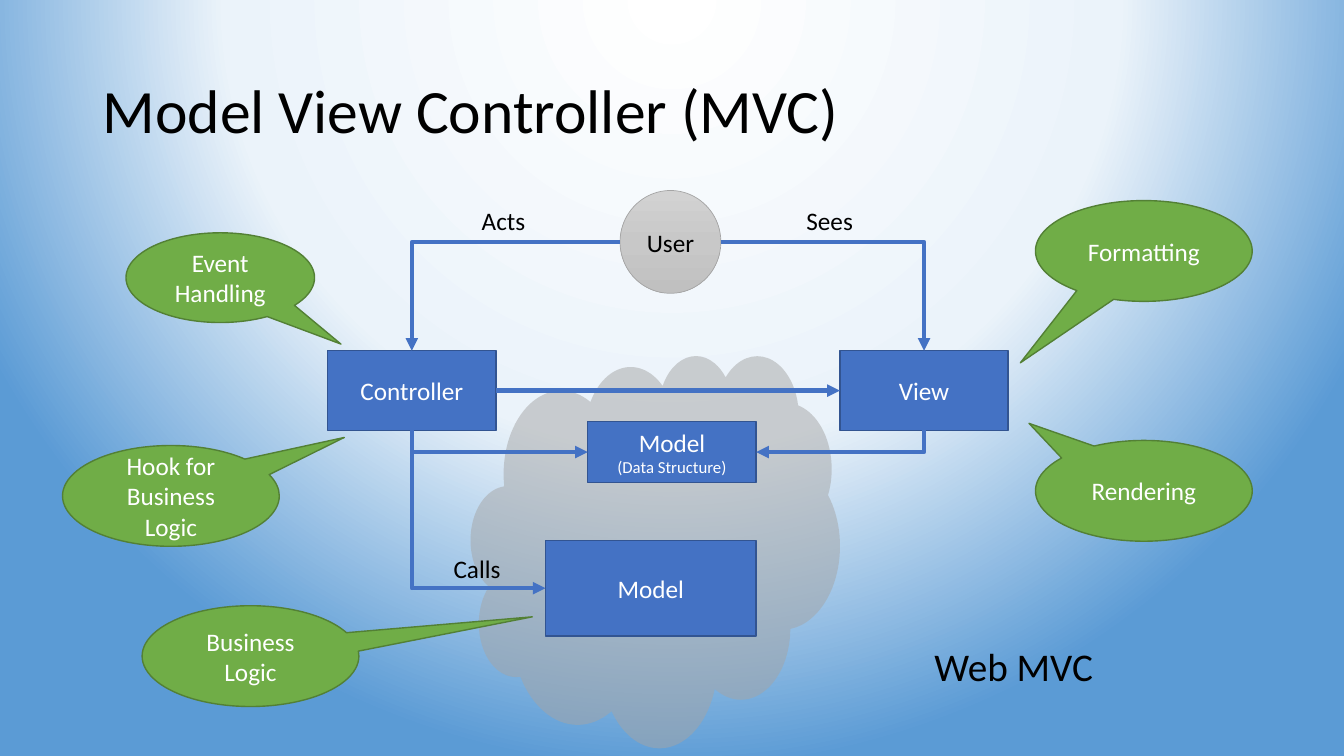
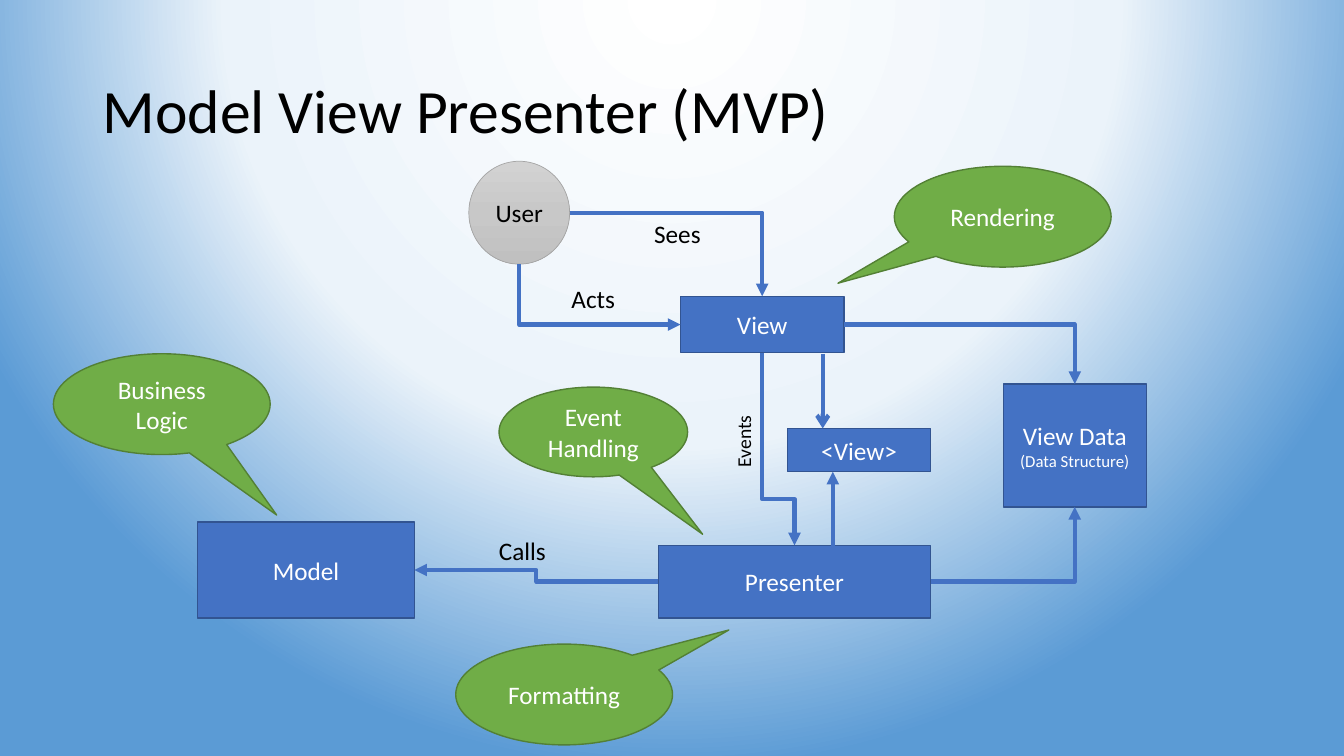
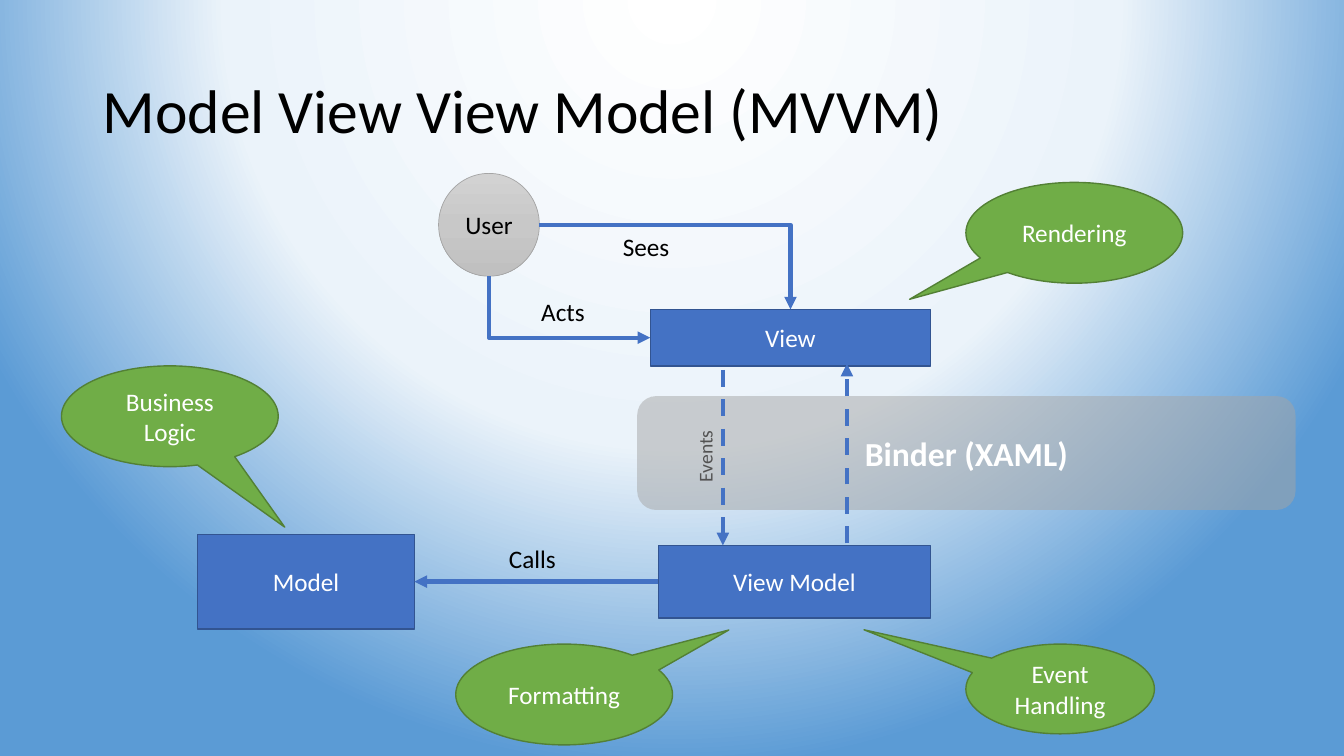
from dataclasses import dataclass
from enum import IntEnum

import lxml.etree
import pptx
import pptx.dml.color
import pptx.enum.dml
import pptx.enum.shapes
import pptx.enum.text
import pptx.oxml.ns
import pptx.shapes.autoshape
import pptx.shapes.connector
import pptx.slide
import pptx.text.text
import pptx.util

Inches = pptx.util.Inches
Pt = pptx.util.Pt
qn = pptx.oxml.ns.qn
Kind = pptx.enum.shapes.MSO_SHAPE
Slide = pptx.slide.Slide
Shape = pptx.shapes.autoshape.Shape
Connector = pptx.shapes.connector.Connector

FONT = "Calibri"
BLACK, WHITE = "000000", "FFFFFF"
BLUE, BLUE_EDGE = "4472C4", "325491"
GREEN, GREEN_EDGE = "70AD47", "538035"
GREY = "A5A5A5"
BACKGROUND_STOPS = [(0, WHITE), (58, "EBF3FA"), (100, "5B9BD5")]
USER_STOPS = [(0, "D2D2D2"), (50, "C8C8C8"), (100, "C0C0C0")]


class Side(IntEnum):
    TOP = 0
    LEFT = 1
    BOTTOM = 2
    RIGHT = 3


@dataclass
class Node:
    key: str
    label: str
    left: float
    top: float
    width: float
    height: float
    detail: str = ""
    round: bool = False

    def side_point(self, side: Side) -> tuple[float, float]:
        across = {Side.LEFT: 0, Side.RIGHT: 1}.get(side, 0.5)
        down = {Side.TOP: 0, Side.BOTTOM: 1}.get(side, 0.5)
        return self.left + across * self.width, self.top + down * self.height


@dataclass
class Link:
    start: str
    start_side: Side
    end: str
    end_side: Side
    turn: float | None = None


@dataclass
class Arrow:
    x: float
    start_y: float
    end_y: float
    head: str = "triangle"
    dashed: bool = False


@dataclass
class Callout:
    text: str
    left: float
    top: float
    tip: tuple[float, float]
    width: float = 2.15
    height: float = 1


@dataclass
class Caption:
    text: str
    left: float
    top: float
    width: float = 0.73
    height: float = 0.4
    size: float = 18
    rotation: float = 0


@dataclass
class Panel:
    kind: Kind
    left: float
    top: float
    width: float
    height: float
    text: str = ""


@dataclass
class Diagram:
    title: str
    nodes: list[Node]
    links: list[Link]
    callouts: list[Callout]
    captions: list[Caption]
    arrows: list[Arrow]
    backdrop: Panel | None = None
    overlay: Panel | None = None


def user(left: float, top: float) -> Node:
    return Node("user", "User", left, top, 1, 1.02, round=True)


def event_handling(left: float, top: float, tip: tuple[float, float]) -> Callout:
    return Callout("Event Handling", left, top, tip, 1.87, 0.89)


def events(left: float, top: float) -> Caption:
    return Caption("Events", left, top, 1.05, 0.34, 14, 270)


SEES_AND_ACTS = [
    Link("user", Side.RIGHT, "view", Side.TOP),
    Link("user", Side.BOTTOM, "view", Side.LEFT),
]

DIAGRAMS = [
    Diagram(
        "Model View Controller (MVC)",
        nodes=[
            Node("controller", "Controller", 3.25, 3.48, 1.67, 0.79),
            Node("data", "Model", 5.83, 4.18, 1.67, 0.61, "(Data Structure)"),
            Node("view", "View", 8.33, 3.48, 1.67, 0.79),
            user(6.15, 1.89),
            Node("model", "Model", 5.41, 5.36, 2.09, 0.95),
        ],
        links=[
            Link("user", Side.RIGHT, "view", Side.TOP),
            Link("user", Side.LEFT, "controller", Side.TOP),
            Link("controller", Side.RIGHT, "view", Side.LEFT),
            Link("controller", Side.BOTTOM, "data", Side.LEFT),
            Link("view", Side.BOTTOM, "data", Side.RIGHT),
            Link("controller", Side.BOTTOM, "model", Side.LEFT),
        ],
        callouts=[
            event_handling(1.25, 2.31, (0.64, 0.74)),
            Callout("Business Logic", 1.41, 6.01, (1.3, -0.39)),
            Callout("Formatting", 10.27, 1.99, (-0.57, 1.11)),
            Callout("Rendering", 10.27, 4.37, (-0.53, -0.67)),
            Callout("Hook for Business Logic", 0.62, 4.42, (0.8, -0.58)),
        ],
        captions=[
            Caption("Sees", 7.9, 1.99),
            Caption("Acts", 4.68, 1.99),
            Caption("Calls", 4.4, 5.44, 0.94),
            Caption("Web MVC", 9.17, 6.32, 2.24, 0.57, 28),
        ],
        arrows=[],
        backdrop=Panel(Kind.CLOUD, 4.67, 3.52, 3.66, 3.89),
    ),
    Diagram(
        "Model View Presenter (MVP)",
        nodes=[
            Node("presenter", "Presenter", 6.53, 5.41, 2.7, 0.72),
            Node("view", "View", 6.75, 2.94, 1.62, 0.56),
            user(4.65, 1.6),
            Node("model", "Model", 1.96, 5.18, 2.15, 0.95),
            Node("interface", "<View>", 7.81, 4.25, 1.42, 0.43),
            Node("data", "View Data", 9.95, 3.81, 1.42, 1.22, "(Data Structure)"),
        ],
        links=SEES_AND_ACTS + [
            Link("view", Side.RIGHT, "data", Side.TOP),
            Link("presenter", Side.RIGHT, "data", Side.BOTTOM),
            Link("view", Side.BOTTOM, "presenter", Side.TOP, 0.76),
            Link("presenter", Side.LEFT, "model", Side.RIGHT, 0.5),
        ],
        callouts=[
            event_handling(4.95, 3.84, (0.58, 1.14)),
            Callout("Business Logic", 0.53, 3.51, (0.53, 1.1)),
            Callout("Formatting", 4.52, 6.39, (0.76, -0.64)),
            Callout("Rendering", 8.87, 1.65, (-0.76, 0.66)),
        ],
        captions=[
            Caption("Sees", 6.39, 2.12),
            Caption("Acts", 5.57, 2.76),
            Caption("Calls", 4.85, 5.26, 0.94),
            events(6.85, 4.04),
        ],
        arrows=[Arrow(8.26, 5.42, 4.68), Arrow(8.16, 3.51, 4.25, "arrow")],
    ),
    Diagram(
        "Model View View Model (MVVM)",
        nodes=[
            Node("view model", "View Model", 6.53, 5.41, 2.7, 0.72),
            Node("view", "View", 6.45, 3.07, 2.78, 0.56),
            user(4.35, 1.72),
            Node("model", "Model", 1.96, 5.3, 2.15, 0.94),
        ],
        links=SEES_AND_ACTS + [Link("view model", Side.LEFT, "model", Side.RIGHT)],
        callouts=[
            event_handling(9.58, 6.39, (-1.04, -0.66)),
            Callout("Business Logic", 0.61, 3.63, (0.53, 1.1)),
            Callout("Formatting", 4.52, 6.39, (0.76, -0.64)),
            Callout("Rendering", 9.58, 1.81, (-0.76, 0.66)),
        ],
        captions=[
            Caption("Sees", 6.08, 2.25),
            Caption("Acts", 5.27, 2.89),
            Caption("Calls", 4.95, 5.34, 0.94),
            events(6.47, 4.19),
        ],
        arrows=[Arrow(8.4, 5.39, 3.61, dashed=True), Arrow(7.17, 3.67, 5.41, dashed=True)],
        overlay=Panel(Kind.ROUNDED_RECTANGLE, 6.32, 3.93, 6.53, 1.13, "Binder (XAML)"),
    ),
]


def color(value: str) -> pptx.dml.color.RGBColor:
    return pptx.dml.color.RGBColor.from_string(value)


def child(parent: lxml.etree._Element, tag: str, **attributes: object) -> lxml.etree._Element:
    texts = {name: str(value) for name, value in attributes.items()}
    return lxml.etree.SubElement(parent, qn(tag), texts)


def reset_gradient(owner: lxml.etree._Element, stops: list[tuple[int, str]]) -> lxml.etree._Element:
    gradient = owner.find(".//" + qn("a:gradFill"))
    for part in list(gradient):
        gradient.remove(part)
    stop_list = child(gradient, "a:gsLst")
    for position, value in stops:
        child(child(stop_list, "a:gs", pos=position * 1000), "a:srgbClr", val=value)
    return gradient


def paint_background(master: pptx.slide.SlideMaster) -> None:
    master.background.fill.gradient()
    gradient = reset_gradient(master.element, BACKGROUND_STOPS)
    circle = child(gradient, "a:path", path="circle")
    child(circle, "a:fillToRect", l=50000, t=-80000, r=50000, b=180000)


def write(paragraph: pptx.text.text._Paragraph, text: str, size: float, value: str, bold: bool = False) -> None:
    run = paragraph.add_run()
    run.text = text
    run.font.name = FONT
    run.font.size = Pt(size)
    run.font.bold = bold
    run.font.color.rgb = color(value)


def add_figure(slide: Slide, kind: Kind, item: Node | Callout | Panel, fill: str,
               edge: str = "", edge_width: float = 1) -> Shape:
    shape = slide.shapes.add_shape(
        kind, Inches(item.left), Inches(item.top), Inches(item.width), Inches(item.height))
    shape.shadow.inherit = False
    shape.fill.solid()
    shape.fill.fore_color.rgb = color(fill)
    if edge:
        shape.line.color.rgb = color(edge)
        shape.line.width = Pt(edge_width)
    else:
        shape.line.fill.background()
    frame = shape.text_frame
    frame.word_wrap = True
    frame.vertical_anchor = pptx.enum.text.MSO_ANCHOR.MIDDLE
    frame.paragraphs[0].alignment = pptx.enum.text.PP_ALIGN.CENTER
    return shape


def draw_node(slide: Slide, node: Node) -> Shape:
    if node.round:
        shape = add_figure(slide, Kind.OVAL, node, GREY, GREY, 0.5)
        shape.fill.gradient()
        child(reset_gradient(shape.element, USER_STOPS), "a:lin", ang=5400000, scaled=0)
    else:
        shape = add_figure(slide, Kind.RECTANGLE, node, BLUE, BLUE_EDGE)
    frame = shape.text_frame
    write(frame.paragraphs[0], node.label, 18, BLACK if node.round else WHITE)
    if node.detail:
        paragraph = frame.add_paragraph()
        paragraph.alignment = pptx.enum.text.PP_ALIGN.CENTER
        write(paragraph, node.detail, 12, WHITE)
    return shape


def draw_callout(slide: Slide, callout: Callout) -> None:
    shape = add_figure(slide, Kind.OVAL_CALLOUT, callout, GREEN, GREEN_EDGE)
    shape.adjustments[0], shape.adjustments[1] = callout.tip
    write(shape.text_frame.paragraphs[0], callout.text, 18, WHITE)


def draw_panel(slide: Slide, panel: Panel) -> None:
    shape = add_figure(slide, panel.kind, panel, GREY)
    child(shape.element.find(".//" + qn("a:srgbClr")), "a:alpha", val=50000)
    if panel.text:
        write(shape.text_frame.paragraphs[0], panel.text, 24, WHITE, True)


def draw_caption(slide: Slide, caption: Caption) -> None:
    box = slide.shapes.add_textbox(
        Inches(caption.left), Inches(caption.top), Inches(caption.width), Inches(caption.height))
    box.rotation = caption.rotation
    box.text_frame.word_wrap = True
    write(box.text_frame.paragraphs[0], caption.text, caption.size, BLACK)


def draw_title(slide: Slide, title: str) -> None:
    box = slide.shapes.add_textbox(Inches(0.92), Inches(0.4), Inches(11.5), Inches(1.45))
    frame = box.text_frame
    frame.word_wrap = True
    frame.vertical_anchor = pptx.enum.text.MSO_ANCHOR.MIDDLE
    frame.paragraphs[0].line_spacing = 0.9
    write(frame.paragraphs[0], title, 44, BLACK)


def style_line(connector: Connector, head: str = "triangle", dashed: bool = False) -> None:
    connector.line.color.rgb = color(BLUE)
    connector.line.width = Pt(3)
    if dashed:
        connector.line.dash_style = pptx.enum.dml.MSO_LINE.DASH
    properties = connector.element.spPr
    child(properties.find(qn("a:ln")), "a:tailEnd", type=head)
    child(properties, "a:effectLst")


def draw_arrow(slide: Slide, arrow: Arrow) -> None:
    connector = slide.shapes.add_connector(
        pptx.enum.shapes.MSO_CONNECTOR.STRAIGHT,
        Inches(arrow.x), Inches(arrow.start_y), Inches(arrow.x), Inches(arrow.end_y))
    style_line(connector, arrow.head, arrow.dashed)


def draw_link(slide: Slide, link: Link, nodes: dict[str, Node], shapes: dict[str, Shape]) -> None:
    start, end = nodes[link.start], nodes[link.end]
    start_x, start_y = start.side_point(link.start_side)
    end_x, end_y = end.side_point(link.end_side)
    one_corner = (link.start_side + link.end_side) % 2 == 1
    bent = one_corner or link.turn is not None
    upright = bent and link.start_side in (Side.TOP, Side.BOTTOM)
    if upright:
        middle_x, middle_y = (start_x + end_x) / 2, (start_y + end_y) / 2
        half_x, half_y = (end_x - start_x) / 2, (end_y - start_y) / 2
        start_x, end_x = middle_x - half_y, middle_x + half_y
        start_y, end_y = middle_y + half_x, middle_y - half_x
    types = pptx.enum.shapes.MSO_CONNECTOR
    connector = slide.shapes.add_connector(types.ELBOW if bent else types.STRAIGHT, 0, 0, 0, 0)
    connector.begin_connect(shapes[link.start], link.start_side)
    connector.end_connect(shapes[link.end], link.end_side)
    connector.begin_x, connector.begin_y = Inches(start_x), Inches(start_y)
    connector.end_x, connector.end_y = Inches(end_x), Inches(end_y)
    if start.round:
        connector.element.find(".//" + qn("a:stCxn")).set("idx", str(2 * link.start_side))
    properties = connector.element.spPr
    geometry = properties.find(qn("a:prstGeom"))
    if upright:
        properties.find(qn("a:xfrm")).set("rot", "5400000")
    if one_corner:
        geometry.set("prst", "bentConnector2")
    elif bent:
        child(geometry.find(qn("a:avLst")), "a:gd", name="adj1", fmla=f"val {round(link.turn * 100000)}")
    style_line(connector)


def draw_diagram(slide: Slide, diagram: Diagram) -> None:
    if diagram.backdrop:
        draw_panel(slide, diagram.backdrop)
    draw_title(slide, diagram.title)
    nodes = {node.key: node for node in diagram.nodes}
    shapes = {node.key: draw_node(slide, node) for node in diagram.nodes}
    for link in diagram.links:
        draw_link(slide, link, nodes, shapes)
    for callout in diagram.callouts:
        draw_callout(slide, callout)
    for caption in diagram.captions:
        draw_caption(slide, caption)
    if diagram.overlay:
        draw_panel(slide, diagram.overlay)
    for arrow in diagram.arrows:
        draw_arrow(slide, arrow)


def main() -> None:
    presentation = pptx.Presentation()
    presentation.slide_width, presentation.slide_height = Inches(13.33), Inches(7.5)
    paint_background(presentation.slide_master)
    for diagram in DIAGRAMS:
        draw_diagram(presentation.slides.add_slide(presentation.slide_layouts[6]), diagram)
    presentation.save("out.pptx")


if __name__ == "__main__":
    main()
